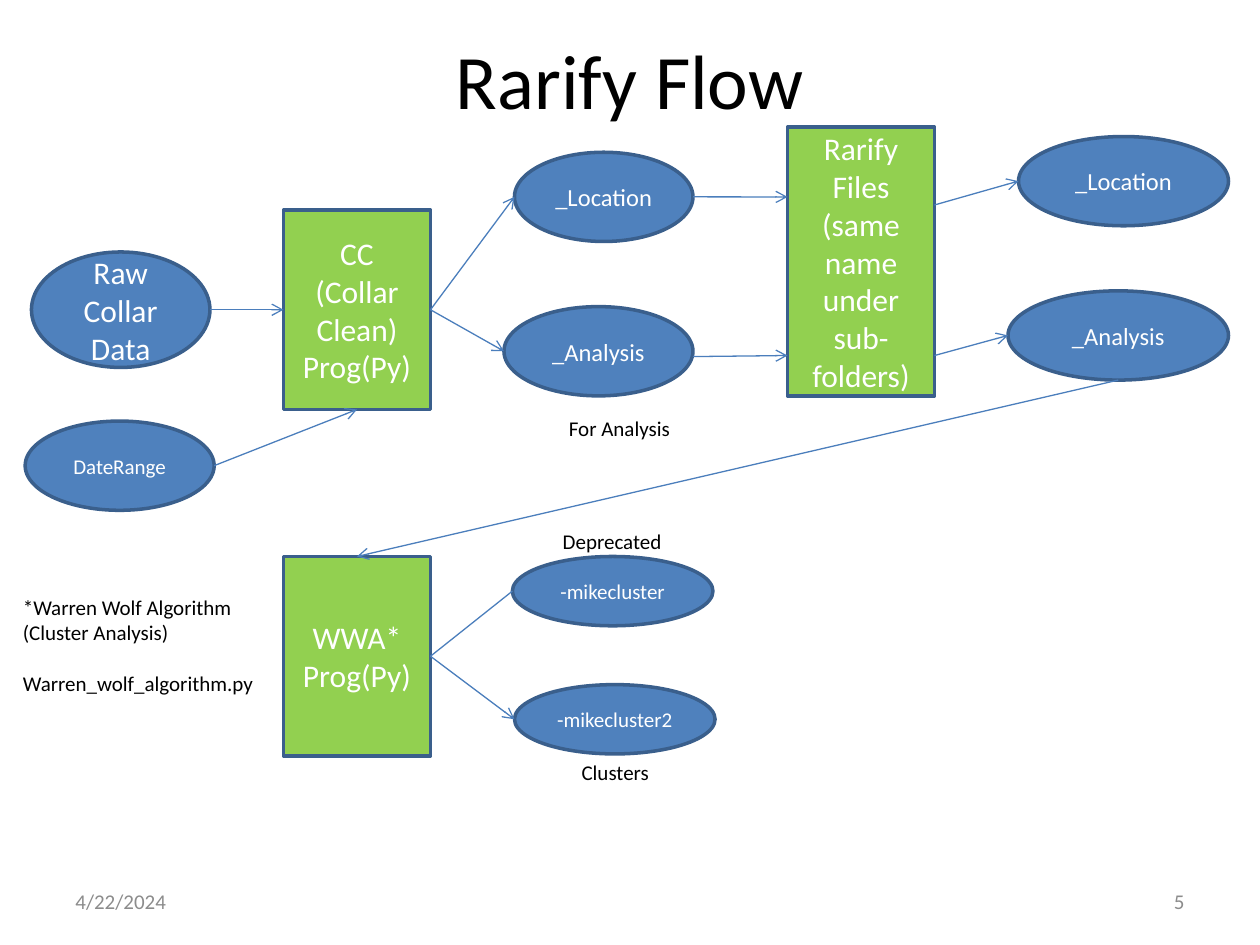
from dataclasses import dataclass
from enum import IntEnum

import pptx
import pptx.dml.color
import pptx.enum.shapes
import pptx.enum.text
import pptx.oxml
import pptx.oxml.ns
import pptx.util
from lxml import etree

RGBColor = pptx.dml.color.RGBColor
Align = pptx.enum.text.PP_ALIGN
Anchor = pptx.enum.text.MSO_ANCHOR
Shape = pptx.enum.shapes.MSO_SHAPE

BLUE = RGBColor(0x4F, 0x81, 0xBD)
GREEN = RGBColor(0x92, 0xD0, 0x50)
OUTLINE = RGBColor(0x3A, 0x5F, 0x8C)
ARROW = RGBColor(0x4B, 0x7E, 0xBC)
WHITE = RGBColor(0xFF, 0xFF, 0xFF)
BLACK = RGBColor(0, 0, 0)
GRAY = RGBColor(0x8C, 0x8C, 0x8C)

FONT = "Calibri"
COLUMNS, ROWS = 120, 90
SLIDE_WIDTH, SLIDE_HEIGHT = pptx.util.Inches(10), pptx.util.Inches(7.5)


class Side(IntEnum):
    TOP = 0
    LEFT = 1
    BOTTOM = 2
    RIGHT = 3


@dataclass(frozen=True)
class Box:
    column: float
    row: float
    columns: float
    rows: float

    def emu(self) -> tuple[int, int, int, int]:
        return (x_at(self.column), y_at(self.row), x_at(self.columns), y_at(self.rows))


@dataclass(frozen=True)
class Node:
    text: str
    box: Box
    size: int
    is_program: bool = False


@dataclass(frozen=True)
class Label:
    text: str
    box: Box
    size: int = 12
    color: RGBColor = BLACK
    align: Align = Align.CENTER
    anchor: Anchor = Anchor.MIDDLE
    wrap: bool = True


@dataclass(frozen=True)
class End:
    node: str
    side: Side
    share: float = 0.5


@dataclass(frozen=True)
class Link:
    start: End
    end: End
    has_arrow: bool = True


NODES = {
    "raw": Node("Raw Collar Data", Box(3, 24, 17, 11), 18),
    "dates": Node("DateRange", Box(2.4, 40.1, 18, 8.5), 12),
    "clean": Node("CC\n(Collar Clean)\nProg(Py)", Box(27, 20, 14, 19), 18, True),
    "location": Node("_Location", Box(49, 14.5, 17, 8.5), 14),
    "analysis": Node("_Analysis", Box(48, 29.2, 18, 8.5), 14),
    "rarify": Node(
        "Rarify Files\n(same name under sub-folders)", Box(75, 12.1, 14, 25.6), 18, True
    ),
    "rare location": Node("_Location", Box(97, 13, 20, 8.5), 14),
    "rare analysis": Node("_Analysis", Box(96, 27.7, 21, 8.5), 14),
    "wolf": Node("WWA*\nProg(Py)", Box(27, 53, 14, 19), 18, True),
    "cluster": Node("-mikecluster", Box(48.8, 53, 19.1, 6.6), 12),
    "cluster2": Node("-mikecluster2", Box(49, 65.2, 19.1, 6.6), 12),
}

LINKS = [
    Link(End("raw", Side.RIGHT), End("clean", Side.LEFT)),
    Link(End("dates", Side.RIGHT), End("clean", Side.BOTTOM)),
    Link(End("clean", Side.RIGHT), End("location", Side.LEFT)),
    Link(End("clean", Side.RIGHT), End("analysis", Side.LEFT)),
    Link(End("location", Side.RIGHT), End("rarify", Side.LEFT, 0.26)),
    Link(End("analysis", Side.RIGHT, 0.56), End("rarify", Side.LEFT, 0.85)),
    Link(End("rarify", Side.RIGHT, 0.29), End("rare location", Side.LEFT)),
    Link(End("rarify", Side.RIGHT, 0.85), End("rare analysis", Side.LEFT)),
    Link(End("rare analysis", Side.BOTTOM), End("wolf", Side.TOP)),
    Link(End("wolf", Side.RIGHT), End("cluster", Side.LEFT), has_arrow=False),
    Link(End("wolf", Side.RIGHT), End("cluster2", Side.LEFT)),
]

LABELS = [
    Label("Rarify Flow", Box(6, 0, 108, 15), 44),
    Label("For Analysis", Box(50, 37.3, 18, 7)),
    Label("Deprecated", Box(49.3, 48, 18, 7)),
    Label("Clusters", Box(49.6, 70, 18, 7)),
    Label("4/22/2024", Box(6, 83.4, 28, 4.8), color=GRAY, align=Align.LEFT),
    Label("5", Box(86, 83.4, 28, 4.8), color=GRAY, align=Align.RIGHT),
]

FOOTNOTE = Label(
    "*Warren Wolf Algorithm\n(Cluster Analysis)\nWarren_wolf_algorithm.py",
    Box(1, 56, 24.5, 13.3),
    align=Align.LEFT,
    anchor=Anchor.TOP,
    wrap=False,
)


def x_at(column: float) -> int:
    return round(SLIDE_WIDTH * column / COLUMNS)


def y_at(row: float) -> int:
    return round(SLIDE_HEIGHT * row / ROWS)


def write(frame, text: str, size: int, color: RGBColor, align: Align, anchor: Anchor) -> None:
    frame.text = text
    frame.vertical_anchor = anchor
    for paragraph in frame.paragraphs:
        paragraph.alignment = align
        for run in paragraph.runs:
            run.font.name = FONT
            run.font.size = pptx.util.Pt(size)
            run.font.color.rgb = color


def draw_node(slide, node: Node):
    outline = Shape.RECTANGLE if node.is_program else Shape.OVAL
    shape = slide.shapes.add_shape(outline, *node.box.emu())
    shape.shadow.inherit = False
    shape.fill.solid()
    shape.fill.fore_color.rgb = GREEN if node.is_program else BLUE
    shape.line.color.rgb = OUTLINE
    shape.line.width = pptx.util.Pt(2)
    shape.text_frame.word_wrap = True
    write(shape.text_frame, node.text, node.size, WHITE, Align.CENTER, Anchor.MIDDLE)
    return shape


def draw_label(slide, label: Label):
    frame = slide.shapes.add_textbox(*label.box.emu()).text_frame
    frame.word_wrap = label.wrap
    write(frame, label.text, label.size, label.color, label.align, label.anchor)
    return frame


def end_point(end: End) -> tuple[int, int]:
    box = NODES[end.node].box
    across, down = {
        Side.TOP: (end.share, 0),
        Side.LEFT: (0, end.share),
        Side.BOTTOM: (end.share, 1),
        Side.RIGHT: (1, end.share),
    }[end.side]
    return x_at(box.column + across * box.columns), y_at(box.row + down * box.rows)


def draw_link(slide, link: Link, shapes: dict) -> None:
    connector = slide.shapes.add_connector(
        pptx.enum.shapes.MSO_CONNECTOR.STRAIGHT, *end_point(link.start), *end_point(link.end)
    )
    connector.line.color.rgb = ARROW
    connector.line.width = pptx.util.Pt(0.75)
    for end, connect in ((link.start, connector.begin_connect), (link.end, connector.end_connect)):
        if NODES[end.node].is_program and end.share == 0.5:
            connect(shapes[end.node], int(end.side))
    if link.has_arrow:
        line = connector.line._get_or_add_ln()
        etree.SubElement(line, pptx.oxml.ns.qn("a:tailEnd"), type="arrow")
    etree.SubElement(connector._element.spPr, pptx.oxml.ns.qn("a:effectLst"))


def main() -> None:
    deck = pptx.Presentation()
    deck.slide_width, deck.slide_height = SLIDE_WIDTH, SLIDE_HEIGHT
    slide = deck.slides.add_slide(deck.slide_layouts[6])
    for label in LABELS:
        draw_label(slide, label)
    footnote = draw_label(slide, FOOTNOTE)
    footnote.paragraphs[-1].space_before = pptx.util.Pt(14.6)
    shapes = {key: draw_node(slide, node) for key, node in NODES.items()}
    for link in LINKS:
        draw_link(slide, link, shapes)
    deck.save("out.pptx")


if __name__ == "__main__":
    main()
